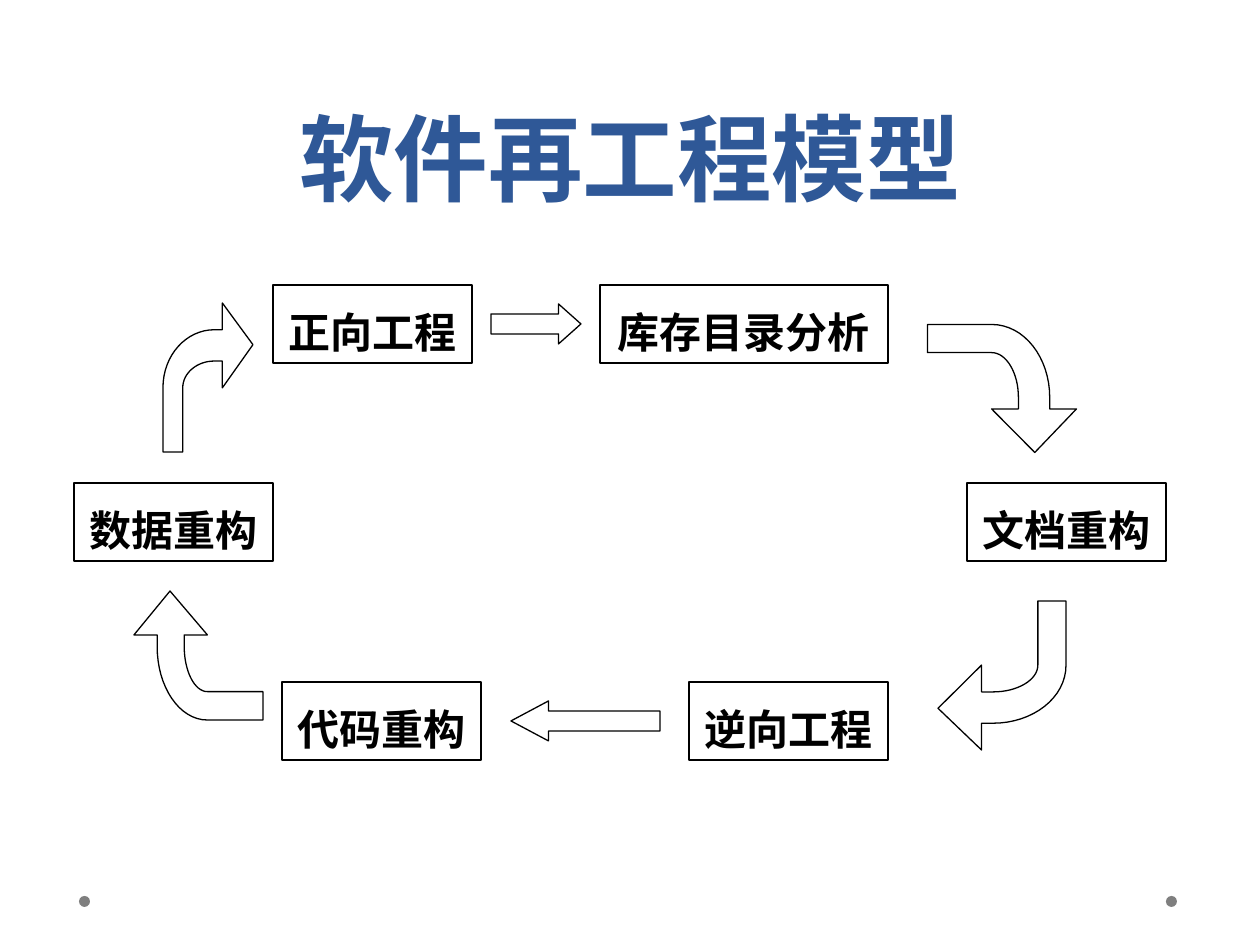
from typing import NamedTuple

from pptx import Presentation, util as u
from pptx.dml.color import RGBColor
from pptx.enum import shapes as s, text as t

PX = u.Inches(1) / 126
BLACK, BLUE, GRAY = "000000", "2F5897", "7F7F7F"
CURVE_STEPS = 16


class Box(NamedTuple):
    left: int
    top: int
    width: int
    height: int


class Stage(NamedTuple):
    label: str
    left: int
    top: int
    width: int = 199


class StraightArrow(NamedTuple):
    preset: s.MSO_SHAPE
    box: Box
    head_ratio: float


class BentArrow(NamedTuple):
    box: Box
    rotation: int


STAGES = [
    Stage("数据重构", 74, 483),
    Stage("正向工程", 273, 285),
    Stage("库存目录分析", 600, 285, 288),
    Stage("代码重构", 282, 682),
    Stage("逆向工程", 689, 682),
    Stage("文档重构", 967, 483),
]
STRAIGHT_ARROWS = [
    StraightArrow(s.MSO_SHAPE.RIGHT_ARROW, Box(491, 304, 90, 40), 0.56),
    StraightArrow(s.MSO_SHAPE.LEFT_ARROW, Box(511, 701, 149, 40), 0.94),
]
BENT_ARROWS = [
    BentArrow(Box(163, 303, 90, 149), 0),
    BentArrow(Box(938, 314, 128, 149), 90),
    BentArrow(Box(938, 601, 128, 149), 180),
    BentArrow(Box(134, 591, 129, 129), 270),
]
DOTS = [Box(left, 896, 11, 11) for left in (1166, 79)]


def emu(px: float) -> int:
    return round(px * PX)


def color(hex_code: str) -> RGBColor:
    return RGBColor.from_string(hex_code)


def bezier(*controls: tuple[float, float]) -> list[tuple[float, float]]:
    """Points along a cubic curve, both ends included."""
    points = []
    for step in range(CURVE_STEPS + 1):
        k = step / CURVE_STEPS
        weights = ((1 - k) ** 3, 3 * k * (1 - k) ** 2, 3 * k * k * (1 - k), k ** 3)
        points.append(tuple(sum(w * c[axis] for w, c in zip(weights, controls))
                            for axis in (0, 1)))
    return points


# Unit outline of an arrow that rises from the lower left and bends right.
BENT_OUTLINE = [
    (1, 0.28), (0.66, 0), (0.66, 0.18),
    *bezier((0.57, 0.18), (0.26, 0.18), (0, 0.35), (0, 0.57)),
    (0, 1), (0.22, 1),
    *bezier((0.22, 0.57), (0.22, 0.47), (0.38, 0.39), (0.57, 0.39)),
    (0.66, 0.39), (0.66, 0.57),
]


def style_outline(shape, width: float) -> None:
    shape.shadow.inherit = False
    shape.fill.background()
    shape.line.color.rgb = color(BLACK)
    shape.line.width = u.Pt(width)


def add_preset(slide, preset: s.MSO_SHAPE, box: Box):
    return slide.shapes.add_shape(preset, *map(emu, box))


def draw_title(slide, title: str) -> None:
    holder = slide.shapes.title
    holder.left, holder.top, holder.width, holder.height = map(emu, Box(63, 0, 1134, 220))
    frame = holder.text_frame
    frame.text = title
    frame.auto_size = t.MSO_AUTO_SIZE.NONE
    frame.vertical_anchor = t.MSO_ANCHOR.BOTTOM
    paragraph = frame.paragraphs[0]
    paragraph.alignment = t.PP_ALIGN.CENTER
    paragraph.line_spacing = u.Pt(58)
    font = paragraph.font
    font.name, font.size, font.bold = "Lato", u.Pt(54), True
    font.color.rgb = color(BLUE)


def draw_stage(slide, stage: Stage) -> None:
    shape = add_preset(slide, s.MSO_SHAPE.RECTANGLE,
                       Box(stage.left, stage.top, stage.width, 78))
    style_outline(shape, 1)
    frame = shape.text_frame
    frame.text = stage.label
    frame.word_wrap = True
    frame.auto_size = t.MSO_AUTO_SIZE.SHAPE_TO_FIT_TEXT
    frame.vertical_anchor = t.MSO_ANCHOR.MIDDLE
    paragraph = frame.paragraphs[0]
    paragraph.alignment = t.PP_ALIGN.CENTER
    paragraph.line_spacing = 1.3
    font = paragraph.font
    font.name, font.size, font.bold = "Times New Roman", u.Pt(24), True
    font.color.rgb = color(BLACK)


def draw_straight_arrow(slide, arrow: StraightArrow) -> None:
    shape = add_preset(slide, arrow.preset, arrow.box)
    shape.adjustments[0] = 0.5
    shape.adjustments[1] = arrow.head_ratio
    style_outline(shape, 0.75)


def draw_bent_arrow(slide, arrow: BentArrow) -> None:
    box = arrow.box
    start, *rest = [(emu(box.left + x * box.width), emu(box.top + y * box.height))
                    for x, y in BENT_OUTLINE]
    builder = slide.shapes.build_freeform(*start)
    builder.add_line_segments(rest, close=True)
    shape = builder.convert_to_shape()
    shape.rotation = arrow.rotation
    style_outline(shape, 0.75)


def draw_dot(slide, box: Box) -> None:
    dot = add_preset(slide, s.MSO_SHAPE.OVAL, box)
    dot.shadow.inherit = False
    dot.fill.solid()
    dot.fill.fore_color.rgb = color(GRAY)
    dot.line.fill.background()


def main() -> None:
    deck = Presentation()
    deck.slide_width, deck.slide_height = u.Inches(10), u.Inches(7.5)
    slide = deck.slides.add_slide(deck.slide_layouts[5])
    for dot in DOTS:
        draw_dot(slide, dot)
    draw_title(slide, "软件再工程模型")
    for stage in STAGES:
        draw_stage(slide, stage)
    for straight in STRAIGHT_ARROWS:
        draw_straight_arrow(slide, straight)
    for bent in BENT_ARROWS:
        draw_bent_arrow(slide, bent)
    deck.save("out.pptx")


if __name__ == "__main__":
    main()
